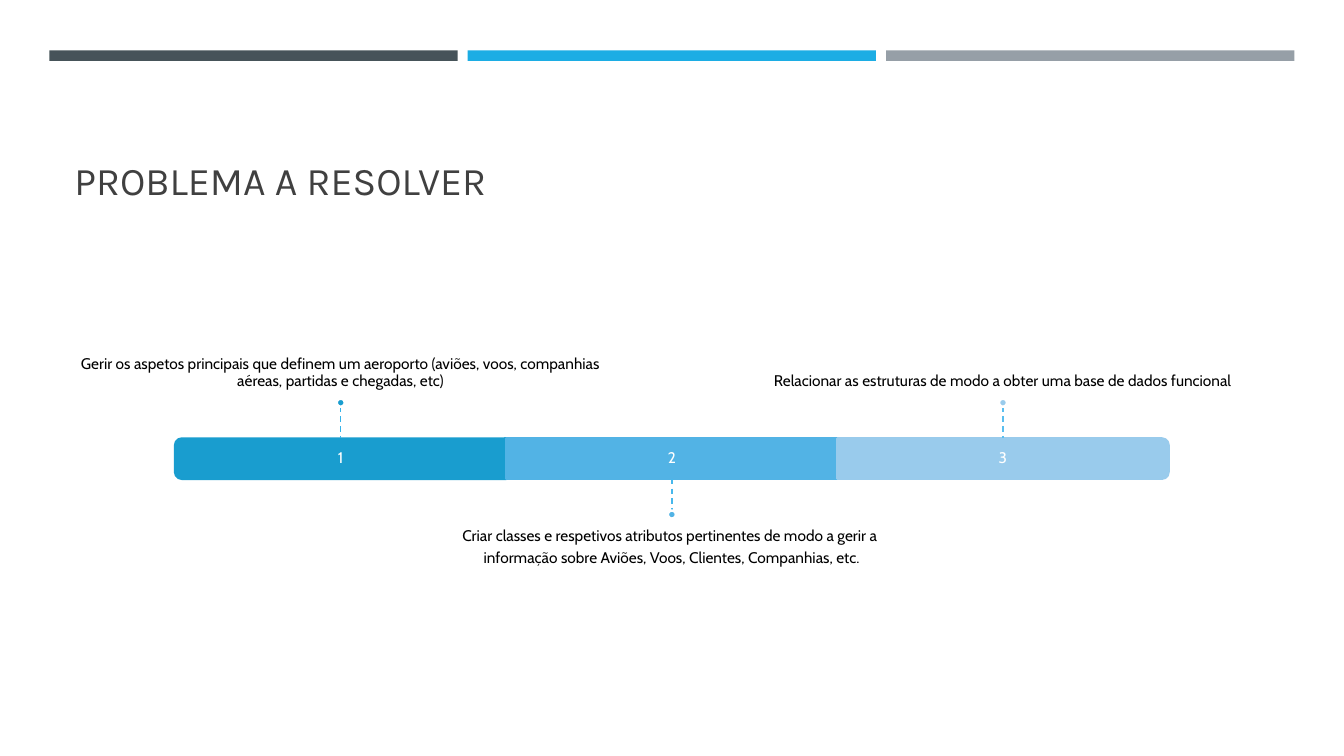
"""Build a slide with a three-step timeline of the problem to solve."""
from lxml import etree
from pptx import Presentation
from pptx import util as u
from pptx.dml import color
from pptx.enum import dml, shapes, text
from pptx.oxml import ns

CELL = u.Inches(0.1)
COLUMNS, ROWS = 133.33, 75
BAND_TOP, BAND_HEIGHT = 43.5, 4
STEP_WIDTH, FIRST_CENTRE = 32.85, 33.8
STEM, DOT = 3.15, 0.8
CAPTION_WIDTH, CAPTION_HEIGHT = 54.8, 13.9
INSET = 0.9

HEADER_BARS = ["465359", "1CADE4", "969FA7"]
STEPS = [
    ("199DCF", "36B3E9", -90, True,
     ["Gerir os aspetos principais que definem um aeroporto "
      "(aviões, voos, companhias aéreas, partidas e chegadas, etc)"]),
    ("52B3E5", "48B8EC", 0, False,
     ["Criar classes e respetivos atributos pertinentes de modo a gerir a ",
      "informação sobre Aviões, Voos, Clientes, Companhias, etc."]),
    ("99CBEC", "5ABEEF", 90, True,
     ["Relacionar as estruturas de modo a obter uma base de dados funcional"]),
]


def cells(*counts):
    return [u.Emu(round(count * CELL)) for count in counts]


def rgb(value):
    return color.RGBColor.from_string(value)


def add_block(page, kind, area, fill, outline=None):
    block = page.shapes.add_shape(kind, *cells(*area))
    block.shadow.inherit = False
    block.fill.solid()
    block.fill.fore_color.rgb = rgb(fill)
    if outline:
        block.line.color.rgb = rgb(outline)
        block.line.width = u.Pt(1.75)
    else:
        block.line.fill.background()
    return block


def add_text(page, area, lines, size, font, ink, anchor, insets):
    box = page.shapes.add_textbox(*cells(*area))
    frame = box.text_frame
    frame.word_wrap = True
    frame.vertical_anchor = anchor
    (frame.margin_left, frame.margin_top,
     frame.margin_right, frame.margin_bottom) = cells(*insets)
    for index, line in enumerate(lines):
        para = frame.add_paragraph() if index else frame.paragraphs[0]
        span = para.add_run()
        span.text = line
        span.font.size = u.Pt(size)
        span.font.name = font
        span.font.color.rgb = rgb(ink)
    return frame


def add_label(page, area, lines, ink, anchor, insets):
    frame = add_text(page, area, lines, 11, "Cabin", ink, anchor, insets)
    for para in frame.paragraphs:
        para.alignment = text.PP_ALIGN.CENTER
        para.line_spacing = 0.9
        para.space_after = u.Pt(4)


def add_stem(page, centre, top, ink):
    stem = page.shapes.add_connector(
        shapes.MSO_CONNECTOR.STRAIGHT, *cells(centre, top, centre, top + STEM))
    stem.line.color.rgb = rgb(ink)
    stem.line.width = u.Pt(1)
    stem.line.dash_style = dml.MSO_LINE.DASH
    etree.SubElement(stem._element.spPr, ns.qn("a:effectLst"))


def add_segment(page, centre, fill, turn):
    middle = BAND_TOP + BAND_HEIGHT / 2
    if turn:
        kind = shapes.MSO_SHAPE.ROUND_2_SAME_RECTANGLE
        width, height = BAND_HEIGHT, STEP_WIDTH
    else:
        kind = shapes.MSO_SHAPE.RECTANGLE
        width, height = STEP_WIDTH, BAND_HEIGHT
    area = (centre - width / 2, middle - height / 2, width, height)
    segment = add_block(page, kind, area, fill, fill)
    segment.rotation = turn


def add_step(page, number, fill, stem_ink, turn, above, caption):
    centre = FIRST_CENTRE + (number - 1) * STEP_WIDTH
    add_segment(page, centre, fill, turn)
    add_label(page, (centre - STEP_WIDTH / 2, BAND_TOP, STEP_WIDTH, BAND_HEIGHT),
              [str(number)], "FFFFFF", text.MSO_ANCHOR.MIDDLE, [INSET] * 4)
    if above:
        stem_top = BAND_TOP - STEM
        dot_top = stem_top - DOT
        caption_top = dot_top - CAPTION_HEIGHT
        anchor, insets = text.MSO_ANCHOR.BOTTOM, (0, 0, 0, INSET)
    else:
        stem_top = BAND_TOP + BAND_HEIGHT
        dot_top = stem_top + STEM
        caption_top = dot_top + DOT
        anchor, insets = text.MSO_ANCHOR.TOP, (0, INSET, 0, 0)
    add_label(page, (centre - CAPTION_WIDTH / 2, caption_top,
                     CAPTION_WIDTH, CAPTION_HEIGHT),
              caption, "000000", anchor, insets)
    add_stem(page, centre, stem_top, stem_ink)
    add_block(page, shapes.MSO_SHAPE.OVAL,
              (centre - DOT / 2, dot_top, DOT, DOT), fill, "FFFFFF")


def main():
    deck = Presentation()
    deck.slide_width, deck.slide_height = cells(COLUMNS, ROWS)
    page = deck.slides.add_slide(deck.slide_layouts[6])
    for index, fill in enumerate(HEADER_BARS):
        add_block(page, shapes.MSO_SHAPE.RECTANGLE,
                  (4.9 + index * 41.5, 5, 40.5, 1.05), fill)
    add_text(page, (6.4, 7.7, 120.6, 13), ["PROBLEMA A RESOLVER"], 28, "Karla",
             "404040", text.MSO_ANCHOR.BOTTOM, (1, 0.5, 1, 0.5))
    for number, step in enumerate(STEPS, 1):
        add_step(page, number, *step)
    deck.save("out.pptx")


if __name__ == "__main__":
    main()
